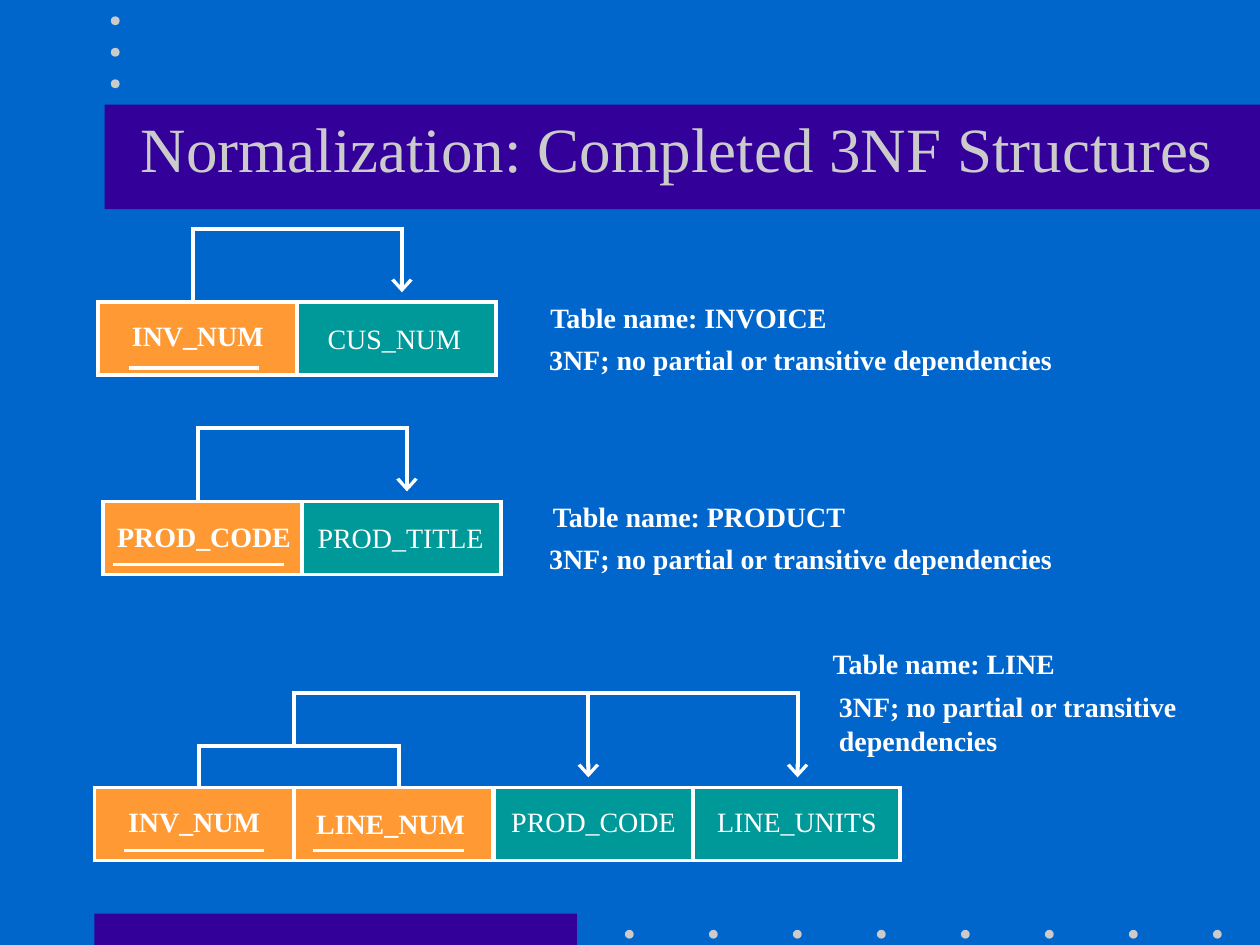
from lxml import etree
from pptx import Presentation
from pptx.dml.color import RGBColor
from pptx.enum.shapes import MSO_CONNECTOR, MSO_SHAPE
from pptx.enum.text import MSO_ANCHOR, MSO_AUTO_SIZE, PP_ALIGN
from pptx.oxml.ns import qn
from pptx.util import Inches, Pt

RECTANGLE, OVAL = MSO_SHAPE.RECTANGLE, MSO_SHAPE.OVAL
STRAIGHT = MSO_CONNECTOR.STRAIGHT
MIDDLE = MSO_ANCHOR.MIDDLE
NO_FIT = MSO_AUTO_SIZE.NONE
FIT_SHAPE = MSO_AUTO_SIZE.SHAPE_TO_FIT_TEXT
LEFT, CENTER = PP_ALIGN.LEFT, PP_ALIGN.CENTER

COLORS = {
    "background": "0066CC",
    "band": "330099",
    "dot": "CBCBCB",
    "key": "FF9933",
    "attribute": "009999",
    "white": "FFFFFF",
}
FONT = "Times New Roman"
LINE_WIDTH = 2.24
CELL_HEIGHT = 0.58
CELL_WIDTH = 1.58
LABEL_HEIGHT = 0.37
LABEL_SLACK = 0.04
DOT_SIZE = 0.07
DEPENDENCY_NOTE = "3NF; no partial or transitive dependencies"


def color(name):
    return RGBColor.from_string(COLORS[name])


def format_line(line):
    line.color.rgb = color("white")
    line.width = Pt(LINE_WIDTH)
    element = line._get_or_add_ln()
    element.set("cap", "sq")
    etree.SubElement(element, qn("a:miter"), lim="800000")
    return element


def add_block(slide, kind, left, top, width, height, fill, outlined=False):
    shape = slide.shapes.add_shape(
        kind, Inches(left), Inches(top), Inches(width), Inches(height))
    shape.shadow.inherit = False
    shape.fill.solid()
    shape.fill.fore_color.rgb = color(fill)
    if outlined:
        format_line(shape.line)
    else:
        shape.line.fill.background()


def format_paragraph(paragraph, size, color_name, alignment, bold=False):
    paragraph.alignment = alignment
    paragraph.font.name = FONT
    paragraph.font.size = Pt(size)
    paragraph.font.bold = bold
    paragraph.font.color.rgb = color(color_name)


def add_label(slide, text, left, top, width, alignment=CENTER, bold=True,
              height=LABEL_HEIGHT):
    box = slide.shapes.add_textbox(
        Inches(left), Inches(top), Inches(width), Inches(height))
    frame = box.text_frame
    frame.word_wrap = False
    frame.auto_size = FIT_SHAPE
    frame.vertical_anchor = MIDDLE
    frame.text = text
    for paragraph in frame.paragraphs:
        format_paragraph(paragraph, 16, "white", alignment, bold)


def add_line(slide, start, end, arrow=False):
    connector = slide.shapes.add_connector(
        STRAIGHT, *(Inches(value) for value in (*start, *end)))
    line = format_line(connector.line)
    if arrow:
        etree.SubElement(line, qn("a:tailEnd"), type="arrow", w="lg", len="med")
    etree.SubElement(connector._element.spPr, qn("a:effectLst"))


def add_path(slide, points, arrow=False):
    for index, (start, end) in enumerate(zip(points, points[1:]), 2):
        add_line(slide, start, end, arrow and index == len(points))


def add_cells(slide, top, cells):
    for left, width, kind, *_ in reversed(cells):
        add_block(slide, RECTANGLE, left, top, width, CELL_HEIGHT, kind, True)
    for _, _, kind, text, label_left, label_top, label_width in cells:
        add_label(slide, text, label_left - LABEL_SLACK, label_top,
                  label_width + 2 * LABEL_SLACK, bold=kind == "key")


def add_decoration(slide):
    add_block(slide, RECTANGLE, 0.75, 7.25, 3.83, 0.25, "band")
    add_block(slide, RECTANGLE, 0.83, 0.83, 9.17, 0.83, "band")
    dots = [(4.96 + column * 2 / 3, 7.38) for column in range(8)]
    dots += [(0.88, 0.13 + row * 0.25) for row in range(3)]
    for left, top in dots:
        add_block(slide, OVAL, left, top, DOT_SIZE, DOT_SIZE, "dot")


def add_title(slide):
    title = slide.shapes.title
    title.left, title.top = Inches(1), Inches(0.67)
    title.width, title.height = Inches(8.75), Inches(1)
    frame = title.text_frame
    frame.text = "Normalization: Completed 3NF Structures"
    frame.auto_size = NO_FIT
    frame.vertical_anchor = MIDDLE
    format_paragraph(frame.paragraphs[0], 36, "dot", CENTER)
    slide.shapes._spTree.append(title._element)


def add_pair_table(slide, top, left, key, attribute, underline, name):
    add_cells(slide, top, [
        (left, CELL_WIDTH, "key", *key),
        (left + CELL_WIDTH, CELL_WIDTH, "attribute", *attribute),
    ])
    add_line(slide, *underline)
    start, end, bar = left + 0.75, left + 2.41, top - 0.58
    add_path(slide, [(start, top), (start, bar), (end, bar),
                     (end, top - 0.08)], arrow=True)
    title, title_left, title_width = name
    add_label(slide, title, title_left, top - 0.07, title_width, LEFT)
    add_label(slide, DEPENDENCY_NOTE, 4.26, top + 0.27, 4.25, LEFT)


def add_line_table(slide):
    top, lower_bar, upper_bar, arrow_end = 6.25, 5.92, 5.5, 6.17
    add_cells(slide, top, [
        (0.75, CELL_WIDTH, "key", "INV_NUM", 0.92, 6.33, 1.24),
        (2.33, CELL_WIDTH, "key", "LINE_NUM", 2.41, 6.35, 1.38),
        (3.92, CELL_WIDTH, "attribute", "PROD_CODE", 3.96, 6.33, 1.5),
        (5.47, 1.67, "attribute", "LINE_UNITS", 5.59, 6.33, 1.47),
    ])
    for start, end in ((1, 2.08), (2.5, 3.67)):
        add_line(slide, (start, 6.75), (end, 6.75))
    add_path(slide, [(1.58, top), (1.58, lower_bar),
                     (3.17, lower_bar), (3.17, top)])
    add_path(slide, [(2.33, lower_bar), (2.33, upper_bar),
                     (6.33, upper_bar), (6.33, arrow_end)], arrow=True)
    add_line(slide, (4.67, upper_bar), (4.67, arrow_end), arrow=True)
    add_label(slide, "Table name: LINE", 6.51, 5.08, 2, LEFT)
    add_label(slide, "3NF; no partial or transitive\ndependencies",
              6.56, 5.42, 2.95, LEFT, height=0.64)


def main():
    presentation = Presentation()
    presentation.slide_width = Inches(10)
    presentation.slide_height = Inches(7.5)
    slide = presentation.slides.add_slide(presentation.slide_layouts[5])
    slide.background.fill.solid()
    slide.background.fill.fore_color.rgb = color("background")
    add_decoration(slide)
    add_title(slide)
    add_line_table(slide)
    add_pair_table(
        slide, 3.98, 0.82,
        ("PROD_CODE", 0.83, 4.07, 1.58), ("PROD_TITLE", 2.42, 4.08, 1.52),
        ((0.91, 4.48), (2.24, 4.48)), ("Table name: PRODUCT", 4.29, 2.54))
    add_pair_table(
        slide, 2.4, 0.78,
        ("INV_NUM", 0.95, 2.48, 1.24), ("CUS_NUM", 2.5, 2.5, 1.26),
        ((1.04, 2.92), (2.04, 2.92)), ("Table name: INVOICE", 4.27, 2.41))
    presentation.save("out.pptx")


main()
